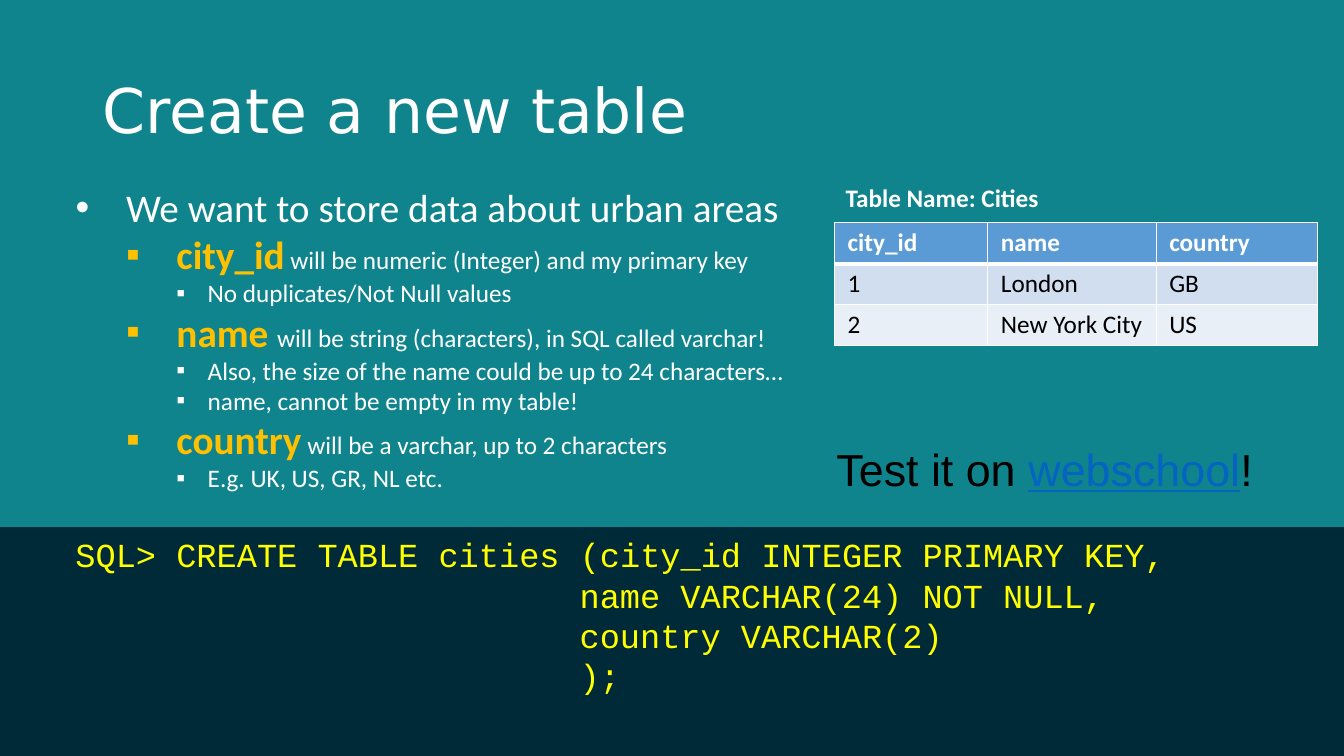
from lxml.etree import SubElement
from pptx import Presentation
from pptx.dml.color import RGBColor
from pptx.enum.shapes import MSO_SHAPE
from pptx.enum.text import MSO_ANCHOR, MSO_AUTO_SIZE, PP_ALIGN
from pptx.oxml.ns import qn
from pptx.util import Inches, Pt

COLORS = {
    "teal": "0F848D", "navy": "002A37", "white": "FFFFFF", "black": "000000",
    "gold": "FFC000", "yellow": "FFFF00", "link": "0563C1",
    "header": "5B9BD5", "odd": "D1DEEF", "even": "E9EFF7",
}

deck = Presentation()
deck.slide_width, deck.slide_height = Inches(13.33), Inches(7.5)
page = deck.slides.add_slide(deck.slide_layouts[1])
page.background.fill.solid()
page.background.fill.fore_color.rgb = RGBColor.from_string(COLORS["teal"])


def area(left, top, width, height):
    """Left, top, width and height from percentages of the slide."""
    return (int(deck.slide_width * left / 100), int(deck.slide_height * top / 100),
            int(deck.slide_width * width / 100), int(deck.slide_height * height / 100))


def add_span(para, text, size, color, font="Calibri", bold=False, underline=False):
    span = para.add_run()
    span.text = text
    span.font.size, span.font.name = Pt(size), font
    span.font.bold, span.font.underline = bold, underline
    span.font.color.rgb = RGBColor.from_string(COLORS[color])


# Title
title = page.shapes.title
title.left, title.top, title.width, title.height = area(6.9, 5.33, 86.25, 19.33)
title.text_frame.vertical_anchor = MSO_ANCHOR.MIDDLE
title.text_frame.auto_size = MSO_AUTO_SIZE.NONE
para = title.text_frame.paragraphs[0]
para.alignment, para.line_spacing = PP_ALIGN.LEFT, 0.9
add_span(para, "Create a new table", 44, "white", "DejaVu Sans")

# Bulleted list: level, highlighted column name, remaining text
items = [
    (0, "", "We want to store data about urban areas"),
    (1, "city_id", " will be numeric (Integer) and my primary key"),
    (2, "", "No duplicates/Not Null values"),
    (1, "name ", "will be string (characters), in SQL called varchar!"),
    (2, "", "Also, the size of the name could be up to 24 characters…"),
    (2, "", "name, cannot be empty in my table!"),
    (1, "country", " will be a varchar, up to 2 characters"),
    (2, "", "E.g. UK, US, GR, NL etc."),
]
# Per level: text indent, hanging indent, bullet, bullet colour, text size
levels = [(0.5, 0.5, "•", "white", 28), (1, 0.5, "▪", "gold", 18), (1.31, 0.31, "▪", "white", 18)]
body = page.placeholders[1]
body.left, body.top, body.width, body.height = area(4.88, 23.6, 55.2, 42.27)
body.text_frame.auto_size = MSO_AUTO_SIZE.NONE
for index, (level, column_name, text) in enumerate(items):
    para = body.text_frame.add_paragraph() if index else body.text_frame.paragraphs[0]
    indent, hanging, bullet, bullet_color, size = levels[level]
    para.level, para.space_before = level, Pt(0)
    props = para._p.get_or_add_pPr()
    props.set("marL", str(Inches(indent)))
    props.set("indent", str(-Inches(hanging)))
    SubElement(SubElement(props, qn("a:buClr")), qn("a:srgbClr"), val=COLORS[bullet_color])
    SubElement(props, qn("a:buFont"), typeface="Arial")
    SubElement(props, qn("a:buChar"), char=bullet)
    if column_name:
        add_span(para, column_name, 28, "gold", bold=True)
    add_span(para, text, size, "white")

# Cities table with its caption
caption = page.shapes.add_textbox(*area(62.18, 23.47, 20, 5.33))
caption.text_frame.word_wrap = True
add_span(caption.text_frame.paragraphs[0], "Table Name: Cities", 18, "white", bold=True)

rows = [("city_id", "name", "country"), ("1", "London", "GB"), ("2", "New York City", "US")]
row_fills = ["header", "odd", "even"]
cities = page.shapes.add_table(3, 3, *area(62.1, 29.47, 35.92, 16.27)).table
for column, width in zip(cities.columns, (1.52, 1.67, 1.6)):
    column.width = Inches(width)
for r, values in enumerate(rows):
    for c, value in enumerate(values):
        cell = cities.cell(r, c)
        cell.margin_left = cell.margin_right = Inches(0.13)
        props = cell._tc.get_or_add_tcPr()
        for side in ("lnL", "lnR", "lnT", "lnB"):
            under_header = (r, side) in ((0, "lnB"), (1, "lnT"))
            line = SubElement(props, qn(f"a:{side}"), w=str(Pt(3 if under_header else 0.96)))
            SubElement(SubElement(line, qn("a:solidFill")), qn("a:srgbClr"), val=COLORS["white"])
        cell.fill.solid()
        cell.fill.fore_color.rgb = RGBColor.from_string(COLORS[row_fills[r]])
        add_span(cell.text_frame.paragraphs[0], value, 18, "black" if r else "white", bold=r == 0)

# Dark band behind the code
band = page.shapes.add_shape(MSO_SHAPE.RECTANGLE, *area(0, 69.73, 100, 30.27))
band.shadow.inherit = False
band.fill.solid()
band.fill.fore_color.rgb = RGBColor.from_string(COLORS["navy"])
band.line.fill.background()

# SQL statement, continuation lines aligned by indent
code = [
    "SQL> CREATE TABLE cities (city_id INTEGER PRIMARY KEY,",
    "name VARCHAR(24) NOT NULL,",
    "country VARCHAR(2)",
    ");",
]
code_box = page.shapes.add_textbox(*area(4.88, 70, 92.55, 22.67))
code_box.text_frame.word_wrap = True
for index, text in enumerate(code):
    para = code_box.text_frame.add_paragraph() if index else code_box.text_frame.paragraphs[0]
    para._p.get_or_add_pPr().set("marL", str(Inches(5 if index else 0)))
    add_span(para, text, 24, "yellow", "Courier New")

# Invitation to practise
practice = page.shapes.add_textbox(*area(61.5, 57.73, 35.92, 7.87))
practice.text_frame.word_wrap = True
para = practice.text_frame.paragraphs[0]
add_span(para, "Test it on ", 32, "black", "Arial")
add_span(para, "webschool", 32, "link", "Arial", underline=True)
add_span(para, "!", 32, "black", "Arial")

deck.save("out.pptx")
